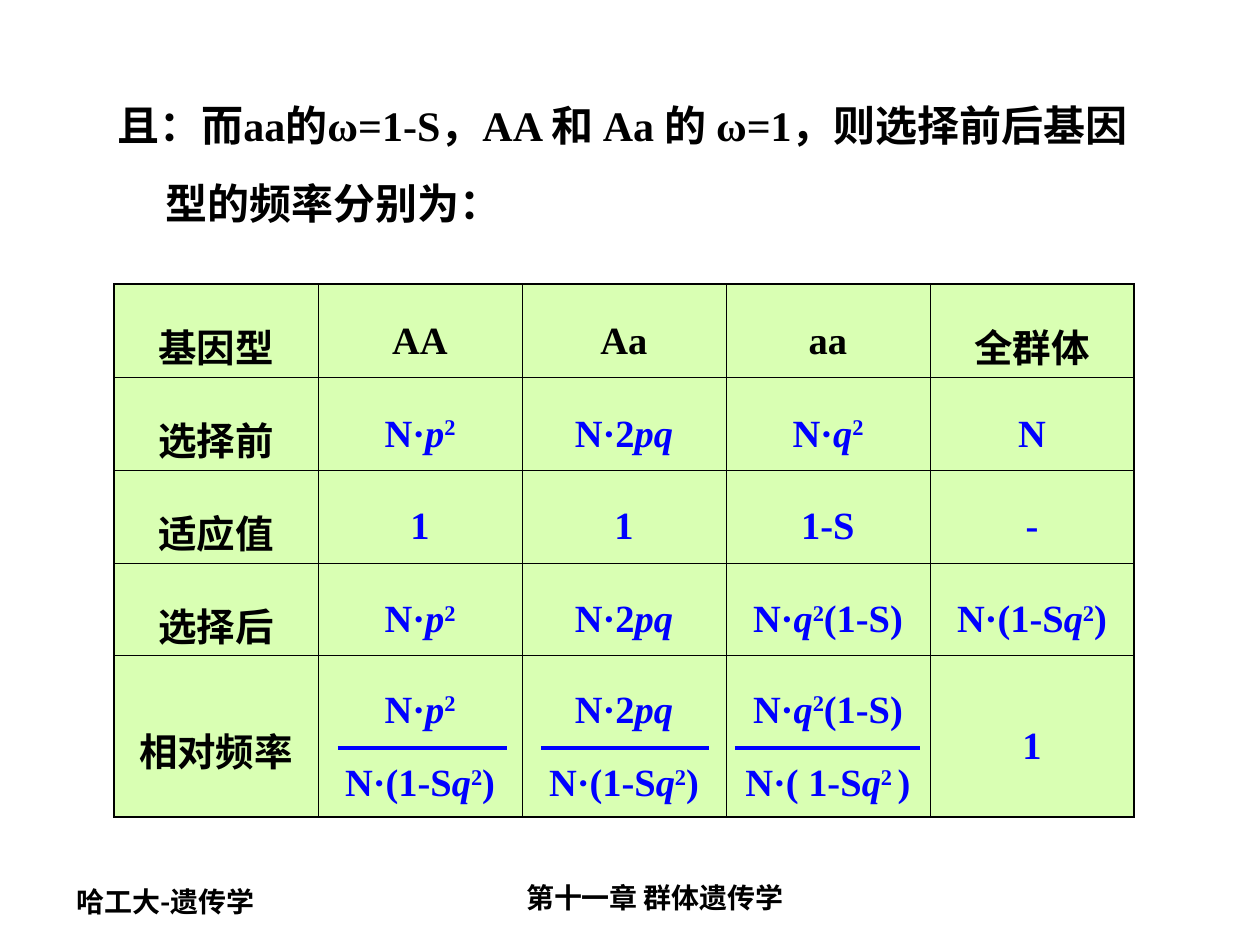
from dataclasses import dataclass

from lxml import etree
from pptx import Presentation
from pptx.dml.color import RGBColor
from pptx.enum.shapes import MSO_CONNECTOR
from pptx.enum.text import MSO_ANCHOR, MSO_AUTO_SIZE, PP_ALIGN
from pptx.oxml.ns import qn
from pptx.util import Pt

EMU_PER_PX = 914400 / 126
LEFT, CENTER = PP_ALIGN.LEFT, PP_ALIGN.CENTER
MIDDLE = MSO_ANCHOR.MIDDLE
FIT_TEXT = MSO_AUTO_SIZE.TEXT_TO_FIT_SHAPE
STRAIGHT = MSO_CONNECTOR.STRAIGHT
SERIF, CHINESE = "Times New Roman", "Noto Sans CJK SC"
BLACK, BLUE, GREEN = "000000", "0000FF", "D9FFB3"
OUTER, INNER = 1.08, 0.45
TABLE_LEFT, TABLE_TOP, COLUMN_WIDTH = 114, 284, 204
ROW_HEIGHTS = [93, 93, 93, 93, 161]
FRACTION_Y = 748

P_SQUARED = "N·|_p|^2"
TWO_PQ = "N·2|_pq"
SELECTED_Q = "N·|_q|^2|(1-S)"
TOTAL = "N·(1-S|_q|^2|)"
ROWS = [
    ["基因型", "AA", "Aa", "aa", "全群体"],
    ["选择前", P_SQUARED, TWO_PQ, "N·|_q|^2", "N"],
    ["适应值", "1", "1", "1-S", "-"],
    ["选择后", P_SQUARED, TWO_PQ, SELECTED_Q, TOTAL],
    ["相对频率", f"{P_SQUARED}\n{TOTAL}", f"{TWO_PQ}\n{TOTAL}",
     f"{SELECTED_Q}\nN·( 1-S|_q|^2 |)", "1"],
]


@dataclass
class Label:
    """A text box with its place in px and its text format."""
    text: str
    left: int
    top: int
    width: int
    height: int
    size: int
    font: str
    alignment: PP_ALIGN = LEFT


@dataclass
class FractionBar:
    """A horizontal fraction bar between two x positions in px."""
    start: int
    end: int


HEADING = Label("且：而aa的ω=1-S，AA 和 Aa 的 ω=1，则选择前后基因 型的频率分别为：",
                105, 66, 1067, 169, 24, SERIF)
FOOTERS = [
    Label("哈工大-遗传学", 64, 878, 294, 49, 16, CHINESE),
    Label("第十一章 群体遗传学", 422, 874, 466, 49, 16, "Arial", CENTER),
]
BARS = [FractionBar(338, 507), FractionBar(541, 709), FractionBar(735, 920)]


def px(length: int) -> int:
    """Turn px into EMU."""
    return round(length * EMU_PER_PX)


def color(value: str) -> RGBColor:
    """Turn a hex string into a colour."""
    return RGBColor.from_string(value)


def apply(target, values: dict) -> None:
    """Set attributes from a dict of format values."""
    for name, value in values.items():
        setattr(target, name, value)


def add_run(paragraph, text: str, size: int, font: str, hex_color: str) -> None:
    """Add a bold run; a leading _ makes it italic and ^ raises it."""
    run = paragraph.add_run()
    run.text = text.lstrip("_^")
    apply(run.font, {"size": Pt(size), "name": font, "bold": True,
                     "italic": text.startswith("_")})
    run.font.color.rgb = color(hex_color)
    properties = run.font._element
    if text.startswith("^"):
        properties.set("baseline", "30000")
    etree.SubElement(properties, qn("a:ea")).set("typeface", CHINESE)


def add_label(slide, label: Label):
    """Draw a text box and return it."""
    shape = slide.shapes.add_textbox(
        px(label.left), px(label.top), px(label.width), px(label.height))
    shape.text_frame.word_wrap = True
    paragraph = shape.text_frame.paragraphs[0]
    paragraph.alignment = label.alignment
    add_run(paragraph, label.text, label.size, label.font, BLACK)
    return shape


def add_heading(slide) -> None:
    """Draw the heading with its hanging indent."""
    frame = add_label(slide, HEADING).text_frame
    frame.auto_size = FIT_TEXT
    paragraph = frame.paragraphs[0]
    paragraph.line_spacing = 1.55
    properties = paragraph._p.get_or_add_pPr()
    properties.set("marL", str(px(48)))
    properties.set("indent", str(-px(48)))


def set_borders(cell, widths: dict[str, float]) -> None:
    """Give a cell black borders of the given point widths."""
    properties = cell._tc.get_or_add_tcPr()
    for index, (side, width) in enumerate(widths.items()):
        line = etree.Element(qn(f"a:{side}"), w=str(Pt(width)))
        fill = etree.SubElement(line, qn("a:solidFill"))
        etree.SubElement(fill, qn("a:srgbClr")).set("val", BLACK)
        properties.insert(index, line)


def fill_cell(cell, text: str, hex_color: str) -> None:
    """Write the formulas of a cell, one a paragraph."""
    cell.vertical_anchor = MIDDLE
    cell.fill.solid()
    cell.fill.fore_color.rgb = color(GREEN)
    for index, formula in enumerate(text.split("\n")):
        frame = cell.text_frame
        paragraph = frame.add_paragraph() if index else frame.paragraphs[0]
        apply(paragraph, {"alignment": CENTER, "line_spacing": 1.5})
        if index:
            paragraph.space_before = Pt(5.5)
        for part in formula.split("|"):
            add_run(paragraph, part, 22, SERIF, hex_color)


def add_genotype_table(slide) -> None:
    """Draw the table of genotype frequencies."""
    last_row, last_column = len(ROWS) - 1, len(ROWS[0]) - 1
    table = slide.shapes.add_table(
        len(ROWS), len(ROWS[0]), px(TABLE_LEFT), px(TABLE_TOP),
        px(COLUMN_WIDTH * len(ROWS[0])), px(sum(ROW_HEIGHTS))).table
    apply(table, {"first_row": False, "horz_banding": False})
    for column in table.columns:
        column.width = px(COLUMN_WIDTH)
    for r, texts in enumerate(ROWS):
        table.rows[r].height = px(ROW_HEIGHTS[r])
        for c, text in enumerate(texts):
            cell = table.cell(r, c)
            fill_cell(cell, text, BLUE if r and c else BLACK)
            set_borders(cell, {
                "lnL": INNER if c else OUTER,
                "lnR": OUTER if c == last_column else INNER,
                "lnT": INNER if r else OUTER,
                "lnB": OUTER if r == last_row else INNER,
            })


def add_fraction_bar(slide, bar: FractionBar) -> None:
    """Draw one fraction bar."""
    connector = slide.shapes.add_connector(
        STRAIGHT, px(bar.start), px(FRACTION_Y), px(bar.end), px(FRACTION_Y))
    connector.line.width = Pt(2.25)
    connector.line.color.rgb = color(BLUE)
    etree.SubElement(connector._element.spPr, qn("a:effectLst"))


def main() -> None:
    """Build the slide and save it."""
    presentation = Presentation()
    apply(presentation, {"slide_width": px(1260), "slide_height": px(945)})
    slide = presentation.slides.add_slide(presentation.slide_layouts[6])
    for footer in FOOTERS:
        add_label(slide, footer)
    add_heading(slide)
    add_genotype_table(slide)
    for bar in BARS:
        add_fraction_bar(slide, bar)
    presentation.save("out.pptx")


if __name__ == "__main__":
    main()
